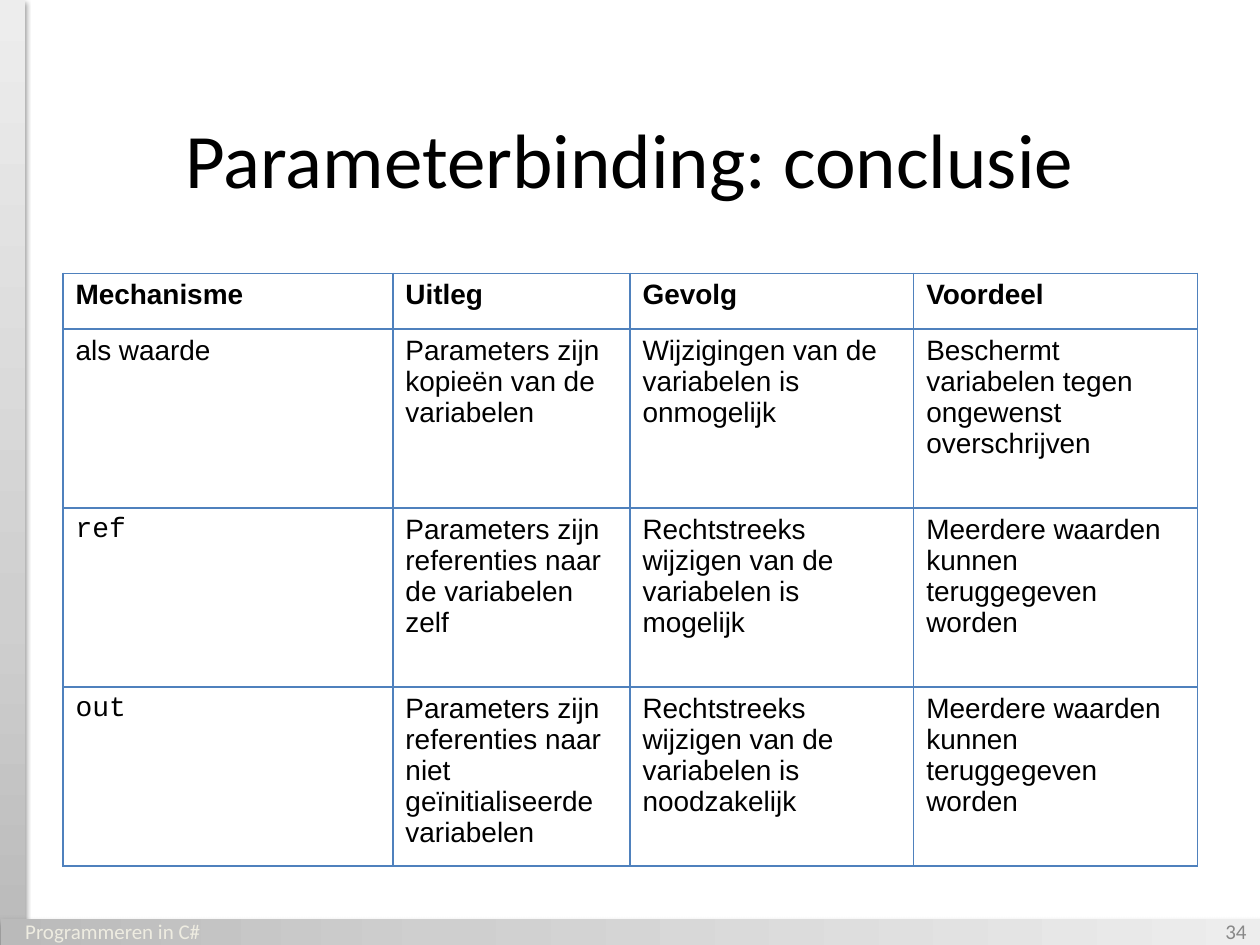
from lxml.etree import SubElement
from pptx import Presentation
from pptx.dml.color import RGBColor
from pptx.enum.shapes import MSO_SHAPE
from pptx.enum.text import MSO_ANCHOR, PP_ALIGN
from pptx.oxml import parse_xml
from pptx.oxml.ns import nsdecls, qn
from pptx.util import Cm, Pt

BLACK = RGBColor(0x00, 0x00, 0x00)
CREAM = RGBColor(0xEE, 0xEC, 0xE1)
GREY = RGBColor(0x88, 0x88, 0x88)
BORDER_BLUE = RGBColor(0x4F, 0x81, 0xBD)
BAR_STOPS = [
    (0, RGBColor(0xBA, 0xBA, 0xBA)),
    (35, RGBColor(0xCF, 0xCF, 0xCF)),
    (100, RGBColor(0xED, 0xED, 0xED)),
]


def write(frame, text, size=16, font="Arial", color=BLACK, bold=False,
          align=PP_ALIGN.LEFT, anchor=MSO_ANCHOR.TOP):
    frame.word_wrap = True
    frame.vertical_anchor = anchor
    paragraph = frame.paragraphs[0]
    paragraph.alignment = align
    run = paragraph.add_run()
    run.text = text
    run.font.size = Pt(size)
    run.font.name = font
    run.font.bold = bold
    run.font.color.rgb = color


prs = Presentation()
prs.slide_width, prs.slide_height = Cm(25.4), Cm(19.05)
slide = prs.slides.add_slide(prs.slide_layouts[5])

# Side bar and bottom bar; the bottom one is an upright bar turned a quarter
for left, top, width, height, rotation in [
    (0, 0, 0.51, 19.05, 0),
    (12.45, 6.1, 0.53, 25.4, 90),
]:
    bar = slide.shapes.add_shape(
        MSO_SHAPE.RECTANGLE, Cm(left), Cm(top), Cm(width), Cm(height))
    bar.rotation = rotation
    bar.line.fill.background()
    bar.fill.gradient()
    bar.fill.gradient_angle = 90
    stops = bar.element.spPr.find(".//" + qn("a:gsLst"))
    stops.clear()
    for position, color in BAR_STOPS:
        stop = SubElement(stops, qn("a:gs"), pos=str(position * 1000))
        SubElement(stop, qn("a:srgbClr"), val=str(color))
    bar.shadow.inherit = False
    bar.element.spPr.find(qn("a:effectLst")).append(parse_xml(
        f'<a:outerShdw {nsdecls("a")} blurRad="{Pt(3.1)}" dist="{Pt(1.6)}" '
        'dir="5400000" rotWithShape="0"><a:srgbClr val="000000">'
        '<a:alpha val="38000"/></a:srgbClr></a:outerShdw>'))

title = slide.shapes.title
title.left, title.top, title.width, title.height = (
    Cm(1.27), Cm(1.27), Cm(22.86), Cm(3.81))
write(title.text_frame, "Parameterbinding: conclusie", size=44, font="Calibri",
      align=PP_ALIGN.CENTER, anchor=MSO_ANCHOR.MIDDLE)

# Comparison of the binding mechanisms
COMPARISON = [
    ["Mechanisme", "Uitleg", "Gevolg", "Voordeel"],
    ["als waarde",
     "Parameters zijn kopieën van de variabelen",
     "Wijzigingen van de variabelen is onmogelijk",
     "Beschermt variabelen tegen ongewenst overschrijven"],
    ["ref",
     "Parameters zijn referenties naar de variabelen zelf",
     "Rechtstreeks wijzigen van de variabelen is mogelijk",
     "Meerdere waarden kunnen teruggegeven worden"],
    ["out",
     "Parameters zijn referenties naar niet geïnitialiseerde variabelen",
     "Rechtstreeks wijzigen van de variabelen is noodzakelijk",
     "Meerdere waarden kunnen teruggegeven worden"],
]
COLUMN_WIDTHS = [6.65, 4.78, 5.72, 5.72]
ROW_HEIGHTS = [1.12, 3.61, 3.61, 3.61]
KEYWORDS = ("ref", "out")

mechanisms = slide.shapes.add_table(
    len(ROW_HEIGHTS), len(COLUMN_WIDTHS), Cm(1.27), Cm(5.51),
    Cm(sum(COLUMN_WIDTHS)), Cm(sum(ROW_HEIGHTS))).table
mechanisms.horz_banding = False
for column, width in zip(mechanisms.columns, COLUMN_WIDTHS):
    column.width = Cm(width)
for row, height in zip(mechanisms.rows, ROW_HEIGHTS):
    row.height = Cm(height)

for r, texts in enumerate(COMPARISON):
    for c, text in enumerate(texts):
        cell = mechanisms.cell(r, c)
        write(cell.text_frame, text, bold=r == 0,
              font="Courier New" if text in KEYWORDS else "Arial")
        properties = cell._tc.get_or_add_tcPr()
        for side in ("lnL", "lnR", "lnT", "lnB"):
            border = SubElement(properties, qn(f"a:{side}"), w=str(Pt(1)))
            fill = SubElement(border, qn("a:solidFill"))
            SubElement(fill, qn("a:srgbClr"), val=str(BORDER_BLUE))
        cell.fill.background()

# Course name and page number on the bottom bar
for text, left, width, color, align in [
    ("Programmeren in C#", -1.75, 8.05, CREAM, PP_ALIGN.CENTER),
    ("34", 19.46, 5.92, GREY, PP_ALIGN.RIGHT),
]:
    footer = slide.shapes.add_textbox(Cm(left), Cm(18.26), Cm(width), Cm(1.02))
    write(footer.text_frame, text, size=12, font="Calibri", color=color,
          align=align, anchor=MSO_ANCHOR.MIDDLE)

prs.save("out.pptx")
